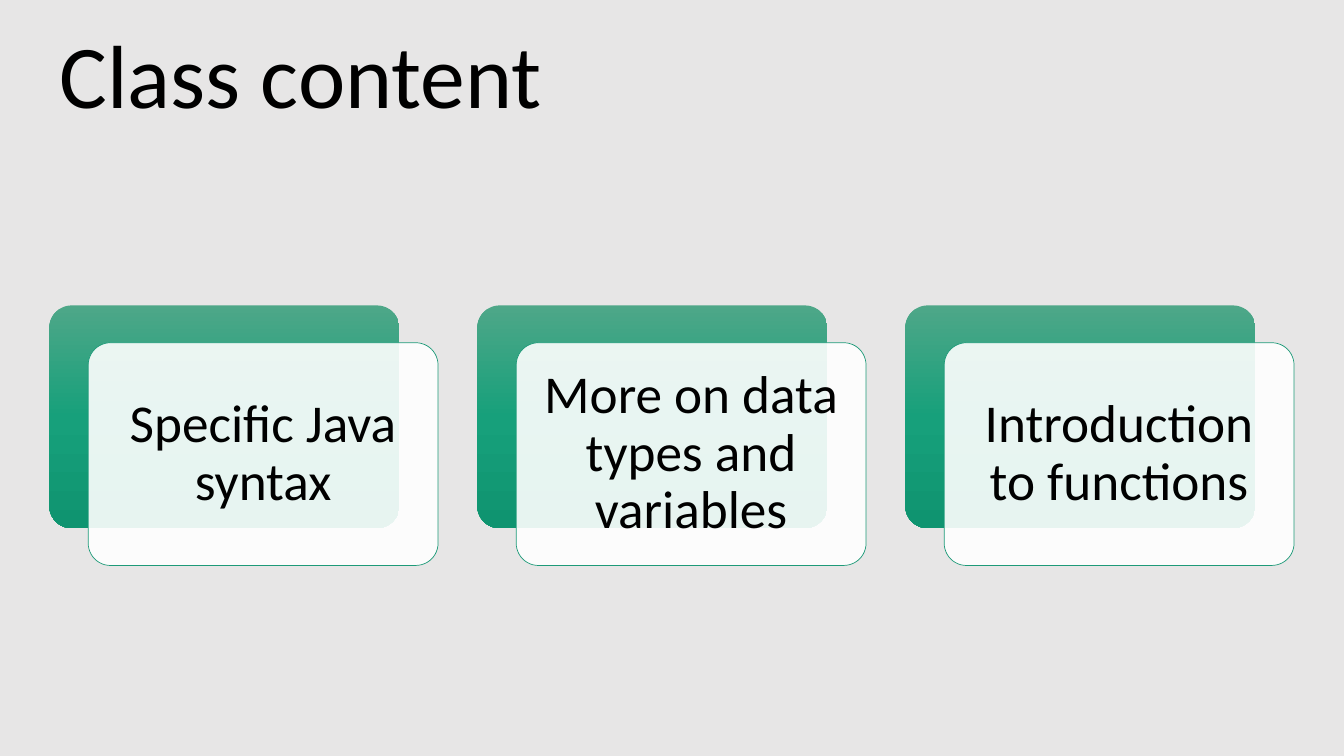
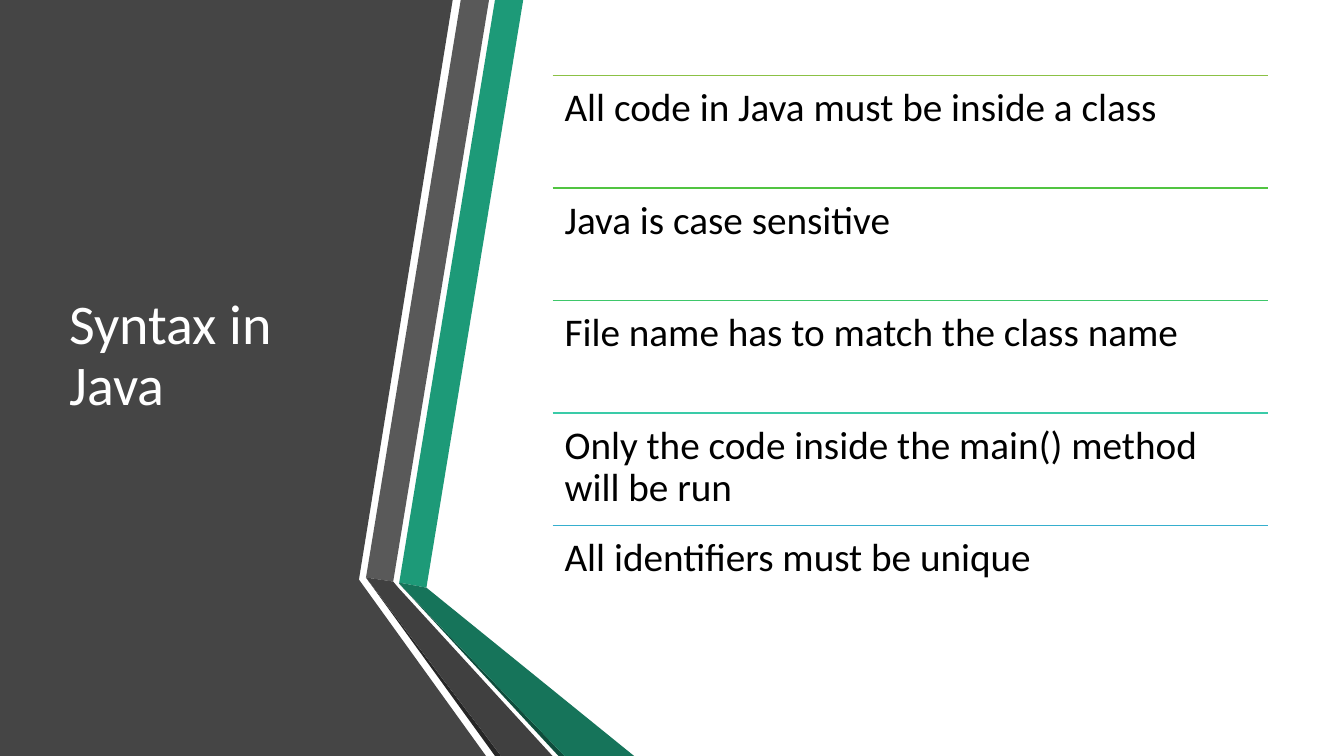
from dataclasses import dataclass
from typing import NamedTuple

from lxml.etree import SubElement
from pptx import Presentation
from pptx.dml.color import RGBColor
from pptx.enum.shapes import MSO_CONNECTOR as Connector, MSO_SHAPE as Preset
from pptx.enum.text import MSO_ANCHOR as Anchor, PP_ALIGN as Align
from pptx.oxml.ns import qn
from pptx.shapes.autoshape import Shape
from pptx.slide import Slide
from pptx.util import Inches, Pt


@dataclass(frozen=True)
class Theme:
    font: str = "Calibri"
    text: str = "000000"
    white: str = "FFFFFF"
    light_background: str = "E7E6E6"
    panel: str = "454545"
    accent: str = "1D9A78"
    card_gradient: tuple[str, ...] = ("4EA788", "17A07B", "0F9470")
    card_opacity: int = 90
    title_size: int = 64
    side_title_size: int = 40
    card_size: int = 38
    item_size: int = 28


THEME = Theme()


class Box(NamedTuple):
    left: float
    top: float
    width: float
    height: float

    def lengths(self) -> list[int]:
        return [Inches(value) for value in self]

    def moved(self, right: float, down: float) -> "Box":
        return self._replace(left=self.left + right, top=self.top + down)


class Ribbon(NamedTuple):
    color: str
    points: list[tuple[float, float]]


class Item(NamedTuple):
    text: str
    color: str


# Content
CARDS = ["Specific Java syntax", "More on data types and variables",
         "Introduction to functions"]
ITEMS = [
    Item("All code in Java must be inside a class", "8BC145"),
    Item("Java is case sensitive", "51C441"),
    Item("File name has to match the class name", "3EC76A"),
    Item("Only the code inside the main() method will be run", "3ACBA8"),
    Item("All identifiers must be unique", "36AFCE"),
]
# Dark panel and the folded ribbons along its edge, back to front
RIBBONS = [
    Ribbon(THEME.panel, [(0, 0), (4.49, 0), (3.56, 5.75), (4.82, 7.5), (0, 7.5)]),
    Ribbon(THEME.accent, [(3.96, 5.78), (4.23, 5.83), (5.19, 0), (4.91, 0)]),
    Ribbon("595959", [(4.85, 0), (4.57, 0), (3.63, 5.73), (3.9, 5.77)]),
    Ribbon("262626", [(3.63, 5.73), (4.91, 7.5), (4.97, 7.5)]),
    Ribbon("0E4D3C", [(3.96, 5.79), (5.54, 7.5), (5.6, 7.5)]),
    Ribbon("16745A", [(3.96, 5.79), (5.6, 7.5), (6.29, 7.5), (4.23, 5.83),
                      (3.96, 5.78)]),
    Ribbon("404040", [(5.48, 7.5), (3.95, 5.83), (3.9, 5.77), (3.63, 5.73),
                      (4.97, 7.5)]),
]


def rgb(color: str) -> RGBColor:
    return RGBColor.from_string(color)


def add_slide(presentation: Presentation, background: str) -> Slide:
    slide = presentation.slides.add_slide(presentation.slide_layouts[6])
    slide.background.fill.solid()
    slide.background.fill.fore_color.rgb = rgb(background)
    return slide


def add_text(slide: Slide, box: Box, text: str, *, size: int,
             color: str = THEME.text, align: Align = Align.LEFT,
             anchor: Anchor = Anchor.MIDDLE,
             insets: tuple[float, float] = (0.1, 0.05)) -> None:
    frame = slide.shapes.add_textbox(*box.lengths()).text_frame
    frame.word_wrap = True
    frame.vertical_anchor = anchor
    frame.margin_left = frame.margin_right = Inches(insets[0])
    frame.margin_top = frame.margin_bottom = Inches(insets[1])
    paragraph = frame.paragraphs[0]
    paragraph.alignment = align
    paragraph.line_spacing = 0.9
    run = paragraph.add_run()
    run.text = text
    run.font.name = THEME.font
    run.font.size = Pt(size)
    run.font.color.rgb = rgb(color)


def fill_solid(shape: Shape, color: str) -> None:
    shape.fill.solid()
    shape.fill.fore_color.rgb = rgb(color)


def fill_gradient(shape: Shape, colors: tuple[str, ...]) -> None:
    """Fill from top to bottom with evenly spaced colours."""
    shape.fill.gradient()
    shape.fill.gradient_angle = 270
    stops = shape._element.spPr.find(".//" + qn("a:gsLst"))
    for stop in list(stops):
        stops.remove(stop)
    for index, color in enumerate(colors):
        position = 100000 * index // (len(colors) - 1)
        stop = SubElement(stops, qn("a:gs"), pos=str(position))
        SubElement(stop, qn("a:srgbClr"), val=color)


def set_opacity(shape: Shape, percent: int) -> None:
    color = shape._element.spPr.find(qn("a:solidFill"))[0]
    SubElement(color, qn("a:alpha"), val=str(percent * 1000))


def add_rounded(slide: Slide, box: Box) -> Shape:
    shape = slide.shapes.add_shape(Preset.ROUNDED_RECTANGLE, *box.lengths())
    shape.adjustments[0] = 0.1
    shape.shadow.inherit = False
    return shape


def add_card(slide: Slide, box: Box, text: str) -> None:
    back = add_rounded(slide, box)
    fill_gradient(back, THEME.card_gradient)
    back.line.fill.background()

    front_box = box.moved(0.385, 0.37)
    front = add_rounded(slide, front_box)
    fill_solid(front, THEME.white)
    set_opacity(front, THEME.card_opacity)
    front.line.color.rgb = rgb(THEME.accent)
    front.line.width = Pt(0.5)

    margin = 0.065
    text_box = front_box.moved(margin, margin)._replace(
        width=box.width - 2 * margin, height=box.height - 2 * margin)
    add_text(slide, text_box, text, size=THEME.card_size, align=Align.CENTER,
             insets=(0.16, 0.16))


def add_ribbon(slide: Slide, ribbon: Ribbon) -> None:
    points = [(Inches(x), Inches(y)) for x, y in ribbon.points]
    builder = slide.shapes.build_freeform(*points[0])
    builder.add_line_segments(points[1:], close=True)
    shape = builder.convert_to_shape()
    shape.shadow.inherit = False
    fill_solid(shape, ribbon.color)
    shape.line.fill.background()


def add_item(slide: Slide, box: Box, item: Item) -> None:
    left, top, width, _ = box.lengths()
    rule = slide.shapes.add_connector(Connector.STRAIGHT, left, top, left + width, top)
    rule.line.color.rgb = rgb(item.color)
    rule.line.width = Pt(1)
    SubElement(rule._element.spPr, qn("a:effectLst"))
    add_text(slide, box, item.text, size=THEME.item_size, anchor=Anchor.TOP,
             insets=(0.12, 0.12))


def build_class_content(presentation: Presentation) -> None:
    slide = add_slide(presentation, THEME.light_background)
    add_text(slide, Box(0.49, 0.25, 12.36, 1.08), "Class content",
             size=THEME.title_size)
    first_card = Box(0.49, 3.03, 3.47, 2.21)
    for index, text in enumerate(CARDS):
        add_card(slide, first_card.moved(4.245 * index, 0), text)


def build_syntax(presentation: Presentation) -> None:
    slide = add_slide(presentation, THEME.white)
    for ribbon in RIBBONS:
        add_ribbon(slide, ribbon)
    add_text(slide, Box(0.59, 0.75, 3.04, 5.58), "Syntax in Java",
             size=THEME.side_title_size, color=THEME.white)
    list_height = 5.58
    first_item = Box(5.48, 0.75, 7.1, list_height / len(ITEMS))
    for index, item in enumerate(ITEMS):
        add_item(slide, first_item.moved(0, first_item.height * index), item)


def main() -> None:
    presentation = Presentation()
    presentation.slide_width = Inches(13.33)
    presentation.slide_height = Inches(7.5)
    build_class_content(presentation)
    build_syntax(presentation)
    presentation.save("out.pptx")


if __name__ == "__main__":
    main()
